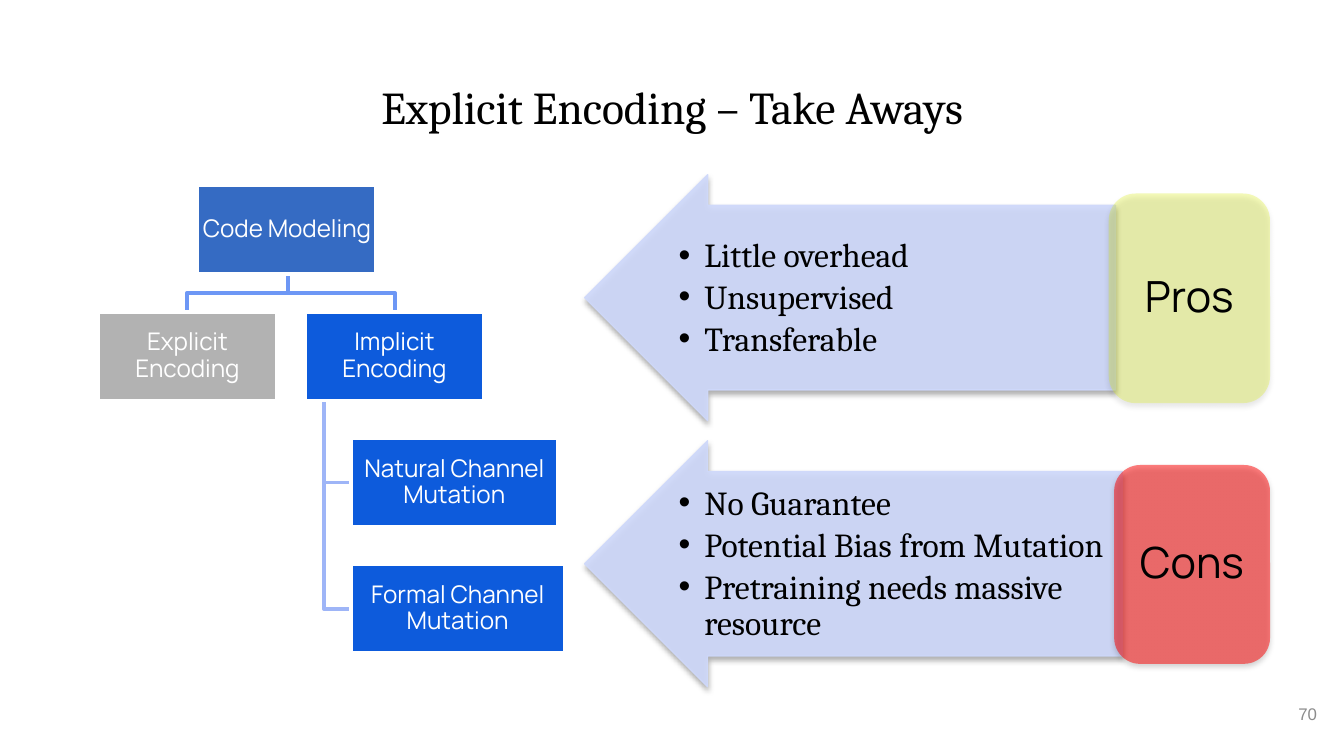
from lxml import etree
from pptx import Presentation
from pptx.dml.color import RGBColor
from pptx.enum.shapes import MSO_SHAPE as Shape
from pptx.enum.text import MSO_ANCHOR as Anchor, MSO_AUTO_SIZE as AutoSize, PP_ALIGN as Align
from pptx.oxml import parse_xml
from pptx.oxml.ns import nsdecls, qn
from pptx.util import Inches, Pt

BLACK, WHITE, GREY = "000000", "FFFFFF", "8C8C8C"
BLUE, ROOT_BLUE, INACTIVE = "0D5BDC", "356BC3", "B2B2B2"
ARROW, GREEN, RED = "CFD9FB", "DBF000", "FF0000"
BRANCH, TWIG = "6D97F5", "9EB5F7"


def color(value):
    return RGBColor.from_string(value)


def set_alpha(element, percent):
    """Make every solid colour inside element partly transparent."""
    for node in element.iter(qn("a:srgbClr")):
        etree.SubElement(node, qn("a:alpha")).set("val", str(percent * 1000))


def add_shadow(shape):
    effects = shape.element.spPr.find(qn("a:effectLst"))
    effects.append(parse_xml(
        f'<a:outerShdw {nsdecls("a")} blurRad="{Pt(3.1)}" dist="{Pt(1.8)}" dir="5400000" '
        'rotWithShape="0"><a:srgbClr val="000000"><a:alpha val="35000"/></a:srgbClr></a:outerShdw>'))


class SlideBuilder:
    serif, sans, plain = "Cambria", "Manrope", "Arial"

    def __init__(self, slide):
        self.slide = slide

    def place(self, shape, box):
        shape.left, shape.top, shape.width, shape.height = map(Inches, box)

    def frame(self, shape, inset, anchor=Anchor.MIDDLE):
        frame = shape.text_frame
        frame.word_wrap = True
        frame.auto_size = AutoSize.NONE
        frame.vertical_anchor = anchor
        frame.margin_left = frame.margin_right = Inches(inset)
        frame.margin_top = frame.margin_bottom = Inches(inset)
        return frame

    def style(self, paragraph, font, size, fill, align, spacing=1.0):
        paragraph.alignment = align
        paragraph.line_spacing = spacing
        paragraph.space_before = Pt(0)
        for run in paragraph.runs:
            run.font.name, run.font.size = font, Pt(size)
            run.font.color.rgb = color(fill)

    def title(self, text, box):
        title = self.slide.shapes.title
        self.place(title, box)
        frame = self.frame(title, 0.1, Anchor.TOP)
        frame.text = text
        self.style(frame.paragraphs[0], self.serif, 24.4, BLACK, Align.CENTER)

    def text_box(self, box):
        return self.slide.shapes.add_textbox(*map(Inches, box))

    def page_number(self, text, box):
        frame = self.frame(self.text_box(box), 0.07)
        frame.text = text
        self.style(frame.paragraphs[0], self.plain, 9, GREY, Align.RIGHT)

    def block(self, kind, box, fill, line=None, width=2):
        shape = self.slide.shapes.add_shape(kind, *map(Inches, box))
        shape.fill.solid()
        shape.fill.fore_color.rgb = color(fill)
        if line:
            shape.line.color.rgb = color(line)
            shape.line.width = Pt(width)
        else:
            shape.line.fill.background()
        shape.shadow.inherit = False
        return shape

    def label(self, shape, text, size, fill, inset):
        frame = self.frame(shape, inset)
        frame.text = text
        self.style(frame.paragraphs[0], self.sans, size, fill, Align.CENTER, 0.9)

    def node(self, text, box, fill):
        self.label(self.block(Shape.RECTANGLE, box, fill, WHITE), text, 13, WHITE, 0.01)

    def elbow(self, points, line):
        start, *rest = [(Inches(x), Inches(y)) for x, y in points]
        builder = self.slide.shapes.build_freeform(*start)
        builder.add_line_segments(rest, close=False)
        shape = builder.convert_to_shape()
        shape.fill.background()
        shape.line.color.rgb = color(line)
        shape.line.width = Pt(2)
        shape.shadow.inherit = False

    def arrow(self, box):
        shape = self.block(Shape.LEFT_ARROW, box, ARROW, ARROW, 0.75)
        shape.adjustments[0], shape.adjustments[1] = 0.75, 0.5
        set_alpha(shape.element.spPr, 90)
        add_shadow(shape)

    def badge(self, text, box, fill, alpha):
        """Draw a shadowed badge; its text sits in a box of its own to stay free of shadow."""
        shape = self.block(Shape.ROUNDED_RECTANGLE, box, fill)
        set_alpha(shape.element.spPr, alpha)
        add_shadow(shape)
        left, top, width, height = box
        inner = (left + 0.06, top + 0.06, width - 0.12, height - 0.12)
        self.label(self.text_box(inner), text, 23, BLACK, 0.05)

    def bullets(self, index, items, box):
        """Fill a body placeholder and bring it to the front."""
        body = self.slide.placeholders[index]
        self.place(body, box)
        body.element.getparent().append(body.element)
        frame = self.frame(body, 0.01)
        frame.text = "\n".join(items)
        for paragraph in frame.paragraphs:
            self.style(paragraph, self.serif, 18, BLACK, Align.LEFT, 0.9)
            paragraph.space_after = Pt(3)
            properties = paragraph._p.get_or_add_pPr()
            properties.set("marL", str(Inches(0.19)))
            properties.set("indent", str(Inches(-0.19)))
            properties.append(parse_xml(f'<a:buFont {nsdecls("a")} typeface="Arial"/>'))
            properties.append(parse_xml(f'<a:buChar {nsdecls("a")} char="•"/>'))


def main():
    presentation = Presentation()
    presentation.slide_width = Inches(10)
    presentation.slide_height = Inches(10 * 9 / 16)
    two_content = presentation.slide_layouts[3]
    builder = SlideBuilder(presentation.slides.add_slide(two_content))

    builder.title("Explicit Encoding – Take Aways", (0.34, 0.49, 9.32, 0.63))
    builder.page_number("70", (9.27, 5.1, 0.6, 0.43))

    panels = [
        (1.3, 3.95, ["Little overhead", "Unsupervised", "Transferable"],
         "Pros", (8.25, 1.44, 1.2, 1.56), GREEN, 27),
        (3.28, 4, ["No Guarantee", "Potential Bias from Mutation",
                   "Pretraining needs massive resource"],
         "Cons", (8.29, 3.46, 1.16, 1.48), RED, 50),
    ]
    for index, (top, width, items, name, badge_box, fill, alpha) in enumerate(panels, 1):
        builder.arrow((4.35, top, width, 1.83))
        builder.bullets(index, items, (5.04, top + 0.23, width - 0.69, 1.38))
        builder.badge(name, badge_box, fill, alpha)

    height, gap = 0.66, 0.28
    rows = [1.38 + level * (height + gap) for level in range(4)]
    root_x, trunk_x, child_x = 2.14, 2.41, 2.61
    for row in reversed(rows[2:]):
        middle = row + height / 2
        builder.elbow([(trunk_x, rows[1] + height), (trunk_x, middle), (child_x, middle)], TWIG)
    fork = rows[1] - gap / 2
    for x in (2.94, 1.39):
        builder.elbow([(root_x, rows[0] + height), (root_x, fork), (x, fork), (x, rows[1])], BRANCH)

    nodes = [
        ("Code Modeling", 1.47, 0, 1.33, ROOT_BLUE),
        ("Explicit Encoding", 0.73, 1, 1.33, INACTIVE),
        ("Implicit Encoding", 2.27, 1, 1.33, BLUE),
        ("Natural Channel Mutation", child_x, 2, 1.54, BLUE),
        ("Formal Channel Mutation", child_x, 3, 1.59, BLUE),
    ]
    for text, left, level, width, fill in nodes:
        builder.node(text, (left, rows[level], width, height), fill)

    presentation.save("out.pptx")


if __name__ == "__main__":
    main()
